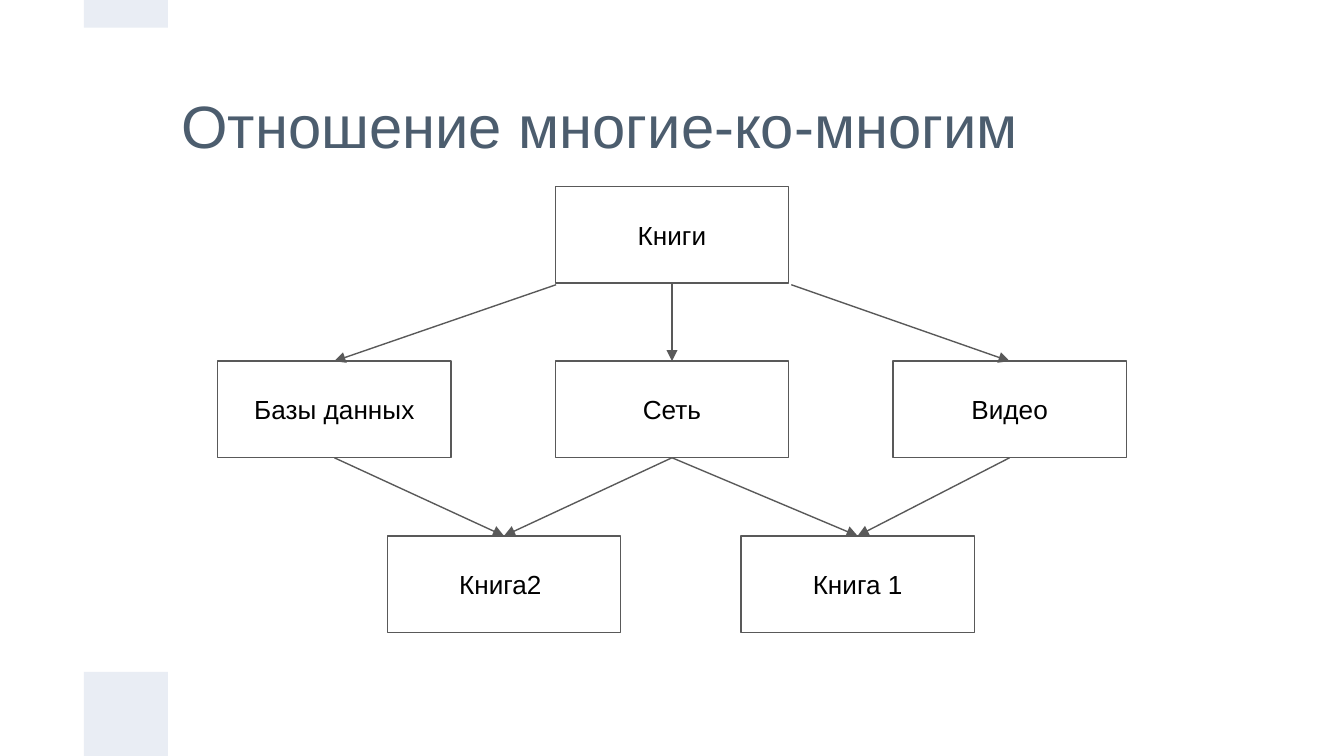
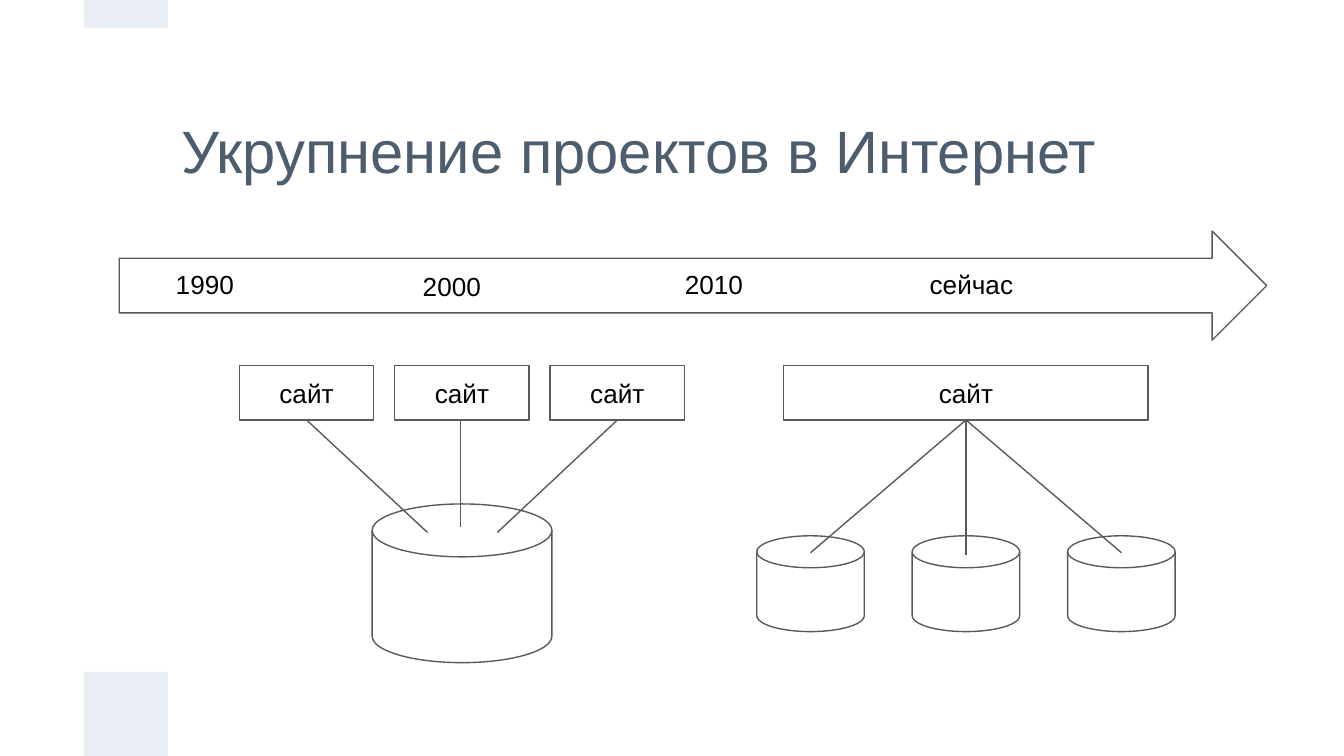
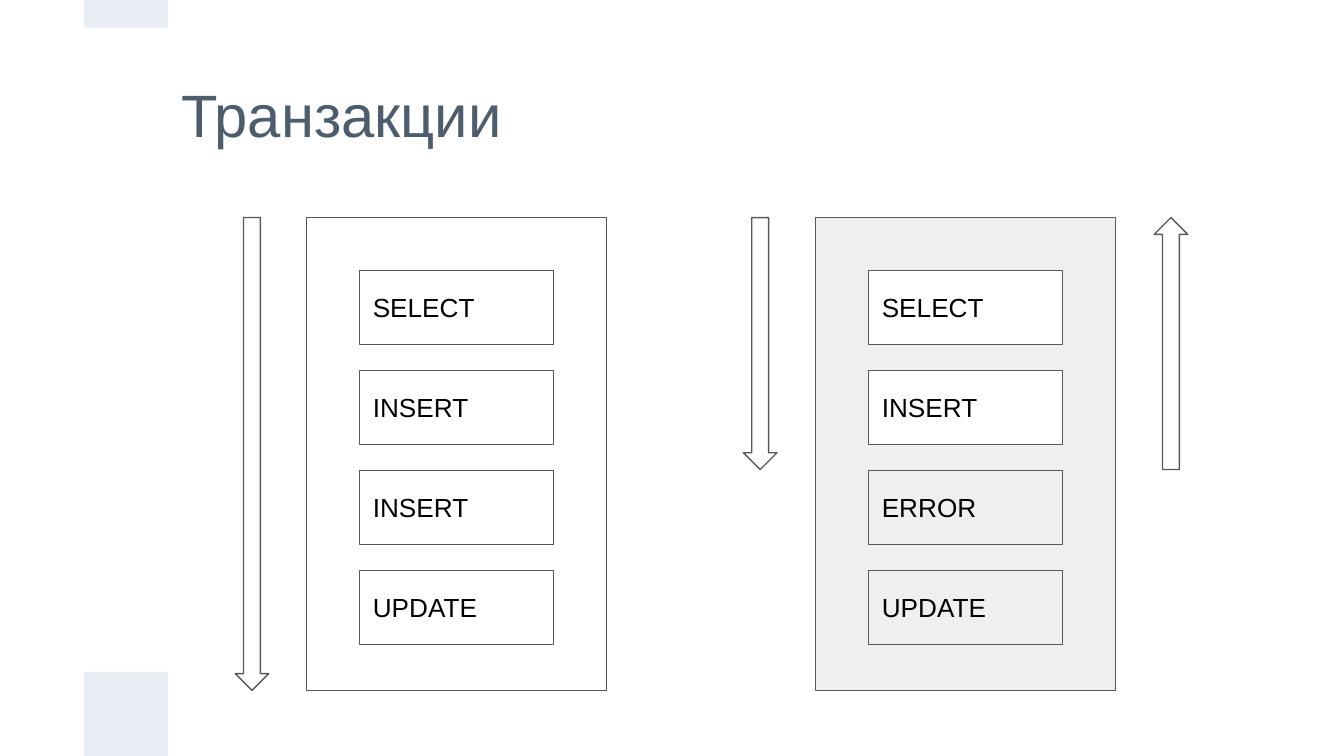
import pptx
import pptx.dml.color
import pptx.enum.shapes
import pptx.enum.text
import pptx.oxml
import pptx.oxml.ns
import pptx.util

COLORS = {
    "title": "4C5D6E",
    "text": "000000",
    "line": "595959",
    "band": "E9EDF4",
    "muted": "EFEFEF",
    "paper": "FFFFFF",
}
FONT = "Arial"
TITLE_ONLY = 5
CELL = 0.625  # the slide is a grid of 16 columns by 9 rows
COLUMNS, ROWS = 16, 9

SHAPE = pptx.enum.shapes.MSO_SHAPE
ALIGN = pptx.enum.text.PP_ALIGN
ANCHOR = pptx.enum.text.MSO_ANCHOR


def grid(cells):
    """Turn a number of grid cells into a length."""
    return pptx.util.Inches(cells * CELL)


def rgb(name):
    """Look up a named colour."""
    return pptx.dml.color.RGBColor.from_string(COLORS[name])


class Deck:
    """The shared style and the slide being drawn."""

    def __init__(self):
        """Start an empty presentation."""
        self.presentation = pptx.Presentation()
        self.presentation.slide_width = grid(COLUMNS)
        self.presentation.slide_height = grid(ROWS)
        self.slide = None

    def new_slide(self, title, top, height):
        """Add a slide with its title and the two bands."""
        layout = self.presentation.slide_layouts[TITLE_ONLY]
        self.slide = self.presentation.slides.add_slide(layout)
        holder = self.slide.shapes.title
        holder.left, holder.top = grid(2), grid(top)
        holder.width, holder.height = grid(12), grid(height)
        self.caption(holder, title, size=32, color="title", align=ALIGN.LEFT)
        for band_top, band_height in ((8, 1), (0, 0.33)):
            self.shape(SHAPE.RECTANGLE, 1, band_top, 1, band_height,
                       fill="band", line=None)

    def caption(self, shape, text, size=14, color="text", align=ALIGN.CENTER,
                anchor=ANCHOR.MIDDLE):
        """Put one styled run of text into a shape."""
        frame = shape.text_frame
        frame.word_wrap = True
        frame.auto_size = pptx.enum.text.MSO_AUTO_SIZE.NONE
        frame.vertical_anchor = anchor
        frame.margin_left = frame.margin_right = pptx.util.Inches(0.1)
        frame.margin_top = frame.margin_bottom = pptx.util.Inches(0.1)
        paragraph = frame.paragraphs[0]
        paragraph.alignment = align
        run = paragraph.add_run()
        run.text = text
        run.font.name = FONT
        run.font.size = pptx.util.Pt(size)
        run.font.color.rgb = rgb(color)

    def shape(self, kind, left, top, width, height, fill=None, line="line"):
        """Draw a preset shape."""
        shape = self.slide.shapes.add_shape(
            kind, grid(left), grid(top), grid(width), grid(height))
        shape.shadow.inherit = False
        if fill:
            shape.fill.solid()
            shape.fill.fore_color.rgb = rgb(fill)
        else:
            shape.fill.background()
        if line:
            shape.line.color.rgb = rgb(line)
            shape.line.width = pptx.util.Pt(0.75)
        else:
            shape.line.fill.background()
        return shape

    def box(self, text, left, top, width, height, fill=None,
            align=ALIGN.CENTER):
        """Draw an outlined rectangle with a caption."""
        box = self.shape(SHAPE.RECTANGLE, left, top, width, height, fill)
        self.caption(box, text, align=align)

    def label(self, text, left, top, width, height, align=ALIGN.CENTER):
        """Place free text."""
        label = self.slide.shapes.add_textbox(
            grid(left), grid(top), grid(width), grid(height))
        self.caption(label, text, align=align, anchor=ANCHOR.TOP)

    def line(self, start, end, arrow=False):
        """Join two points, with an arrowhead at the end if asked."""
        connector = self.slide.shapes.add_connector(
            pptx.enum.shapes.MSO_CONNECTOR.STRAIGHT,
            grid(start[0]), grid(start[1]), grid(end[0]), grid(end[1]))
        connector.line.color.rgb = rgb("line")
        connector.line.width = pptx.util.Pt(0.75)
        namespace = pptx.oxml.ns.nsdecls("a")
        properties = connector._element.spPr
        if arrow:
            outline = properties.find(pptx.oxml.ns.qn("a:ln"))
            outline.append(pptx.oxml.parse_xml(
                f'<a:tailEnd {namespace} type="triangle"/>'))
        properties.append(pptx.oxml.parse_xml(f"<a:effectLst {namespace}/>"))


def many_to_many(deck):
    """Draw the tree of books and topics."""
    deck.new_slide("Отношение многие-ко-многим", top=0.75, height=1.47)
    width, height = 2.78, 1.15
    root_top, topic_top, book_top = (2.22 + 2.08 * level for level in range(3))
    middle = COLUMNS / 2
    left, right = middle - 4.02, middle + 4.02
    second_book, first_book = 6, 10.21
    for text, center, top in (
            ("Книги", middle, root_top), ("Сеть", middle, topic_top),
            ("Базы данных", left, topic_top), ("Видео", right, topic_top),
            ("Книга 1", first_book, book_top),
            ("Книга2 ", second_book, book_top)):
        deck.box(text, center - width / 2, top, width, height)

    root_bottom = root_top + height
    for start, end in (((middle, root_bottom), middle),
                       ((9.42, root_bottom + 0.02), right),
                       ((6.62, root_bottom + 0.02), left)):
        deck.line(start, (end, topic_top), arrow=True)
    for topic, book in ((left, second_book), (right, first_book),
                        (middle, second_book), (middle, first_book)):
        deck.line((topic, topic_top + height), (book, book_top), arrow=True)


def growing_projects(deck):
    """Draw the timeline with sites above their databases."""
    deck.new_slide("Укрупнение проектов в Интернет", top=1, height=1.57)
    deck.shape(SHAPE.RIGHT_ARROW, 1.42, 2.75, 13.66, 1.3)
    for text, left, top, align in (("сейчас", 10.91, 3.04, ALIGN.LEFT),
                                   ("2010", 7.79, 3.04, ALIGN.CENTER),
                                   ("2000", 4.67, 3.06, ALIGN.CENTER),
                                   ("1990", 1.73, 3.04, ALIGN.CENTER)):
        deck.label(text, left, top, 1.42, 0.65, align)

    site_top, site_height, step = 4.35, 0.65, 1.85
    site_bottom = site_top + site_height
    shared, merged = 5.5, 11.5  # centres of the two halves
    disk = SHAPE.FLOWCHART_MAGNETIC_DISK

    deck.shape(disk, shared - 1.07, 6, 2.14, 1.89)
    for side, end in ((-1, (5.09, 6.34)), (0, (5.48, 6.27)), (1, (5.92, 6.34))):
        center = shared + side * step
        deck.box("сайт", center - 0.8, site_top, 1.6, site_height)
        deck.line((center if side else end[0], site_bottom), end)

    deck.box("сайт", merged - 2.17, site_top, 4.34, site_height)
    for side in (-1, 0, 1):
        center = merged + side * step
        deck.shape(disk, center - 0.64, 6.38, 1.28, 1.14)
        deck.line((merged, site_bottom), (center, 6.58 if side else 6.61))


def transactions(deck):
    """Draw a finished transaction beside one that is rolled back."""
    deck.new_slide("Транзакции", top=0.77, height=1.17)
    top, height, inset = 2.59, 5.63, 0.63
    finished = (("SELECT", None), ("INSERT", None),
                ("INSERT", None), ("UPDATE", None))
    failed = (("SELECT", "paper"), ("INSERT", "paper"),
              ("ERROR", "muted"), ("UPDATE", "muted"))
    for left, fill, steps in ((3.65, None, finished), (9.71, "muted", failed)):
        deck.shape(SHAPE.RECTANGLE, left, top, 3.57, height, fill)
        for row, (text, step_fill) in enumerate(steps):
            deck.box(text, left + inset, top + inset + row * 1.19, 2.31, 0.88,
                     step_fill, ALIGN.LEFT)
    for left, length, turn in ((2.8, height, 0), (8.85, 3, 0), (13.74, 3, 180)):
        arrow = deck.shape(SHAPE.DOWN_ARROW, left, top, 0.4, length)
        arrow.rotation = turn


deck = Deck()
many_to_many(deck)
growing_projects(deck)
transactions(deck)
deck.presentation.save("out.pptx")
